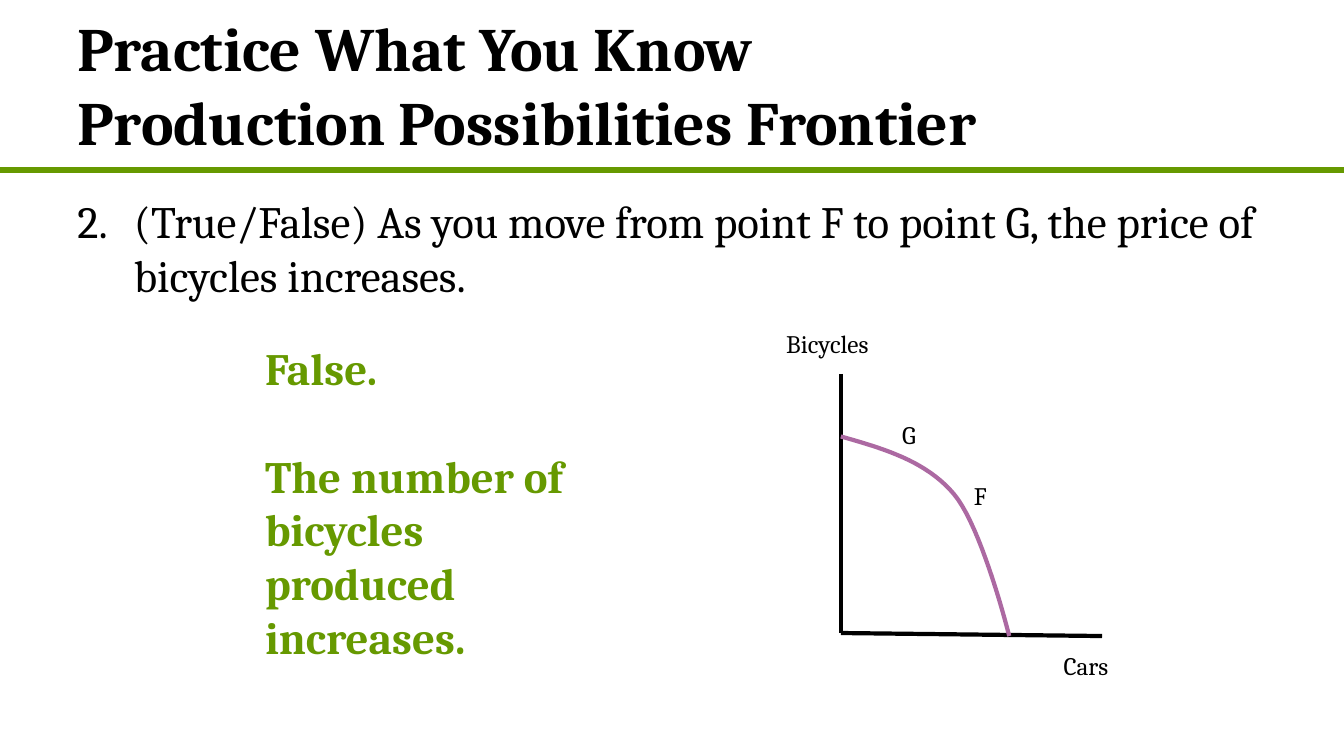
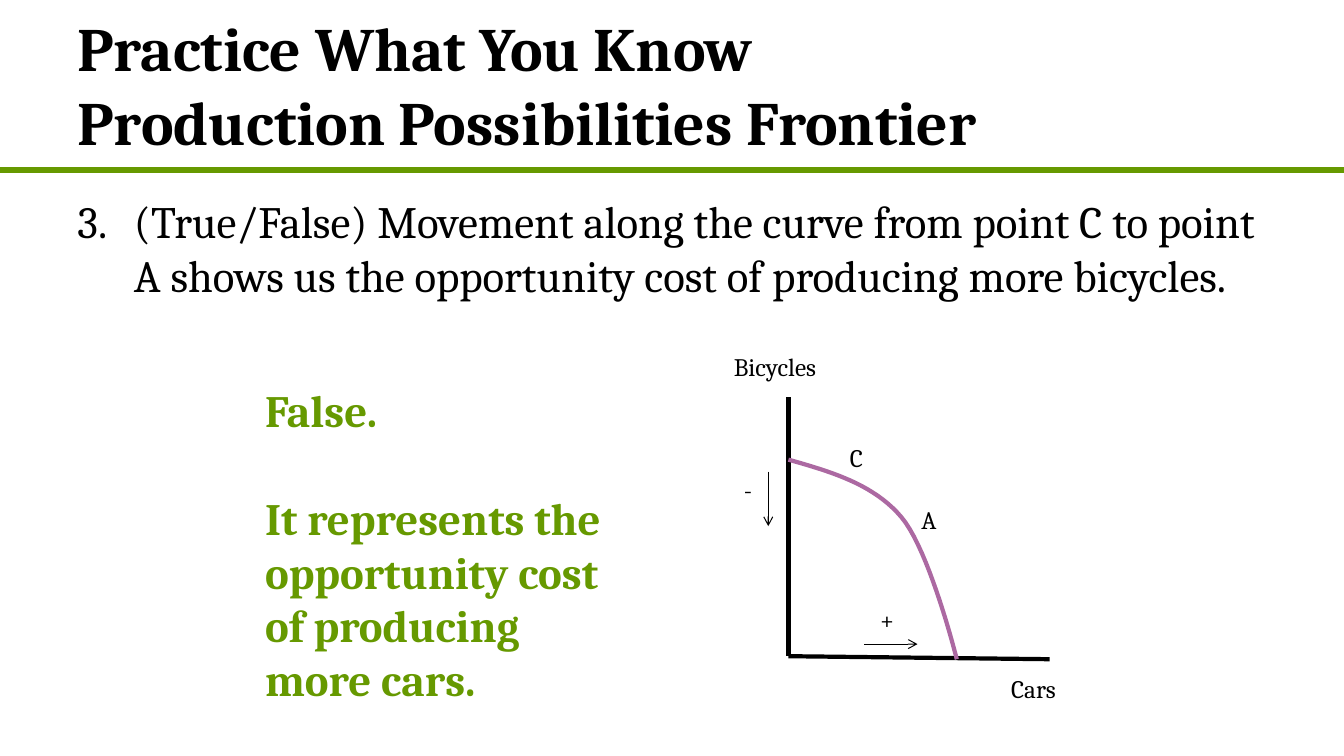
from typing import NamedTuple

from lxml.etree import SubElement
from pptx import Presentation
from pptx.dml.color import RGBColor
from pptx.enum.shapes import MSO_CONNECTOR as Conn
from pptx.enum.text import MSO_ANCHOR as Anchor, MSO_AUTO_SIZE as AutoSize
from pptx.oxml.ns import qn
from pptx.util import Inches, Pt

FONT = "Cambria"
COLORS = {"text": "000000", "accent": "669900", "curve": "AC69A2"}
TITLE = "Practice What You Know\vProduction Possibilities Frontier"
SLIDE_W, SLIDE_H = 13.33, 7.5
INDENT = 0.56

# Graph geometry, measured from the top of the vertical axis
AXIS_BOTTOM = 2.57
AXIS_END = (2.59, 2.6)
FRONTIER = [
    ((0, 0.62), (0.42, 0.74), (0.84, 0.86), (1.12, 1.19)),
    ((1.12, 1.19), (1.4, 1.52), (1.67, 2.6), (1.67, 2.6)),
]
CURVE_STEPS = 20


class Label(NamedTuple):
    text: str
    x: float
    y: float
    w: float


class Arrow(NamedTuple):
    x1: float
    y1: float
    x2: float
    y2: float


class Question(NamedTuple):
    number: int
    text: str
    answer: list[str]
    answer_y: float
    graph_x: float
    graph_y: float
    points: tuple[str, str]  # upper point, lower point
    labels: list[Label] = []
    arrows: list[Arrow] = []


QUESTIONS = [
    Question(
        2,
        "(True/False) As you move from point F to point G, "
        "the price of bicycles increases.",
        ["False.", "The number of bicycles produced increases."],
        3.33, 8.34, 3.71, ("G", "F"),
    ),
    Question(
        3,
        "(True/False) Movement along the curve from point C to point A "
        "shows us the opportunity cost of producing more bicycles.",
        ["False.", "It represents the opportunity cost of producing more cars."],
        3.75, 7.82, 3.94, ("C", "A"),
        [Label("+", 0.81, 2.01, 0.42), Label("-", -0.54, 0.72, 0.32)],
        [Arrow(0.75, 2.45, 1.28, 2.45), Arrow(-0.2, 0.74, -0.2, 1.28)],
    ),
]


def color(name: str) -> RGBColor:
    return RGBColor.from_string(COLORS[name])


def add_text(s, x: float, y: float, w: float, h: float, lines: list[str],
             size: float, fill: str = "text", bold: bool = False,
             grow: bool = False, gap: float = 0):
    tf = s.shapes.add_textbox(Inches(x), Inches(y), Inches(w), Inches(h)).text_frame
    tf.word_wrap = True
    tf.auto_size = AutoSize.SHAPE_TO_FIT_TEXT if grow else AutoSize.NONE
    tf.text = "\n".join(lines)
    for i, p in enumerate(tf.paragraphs):
        if i and gap:
            p.space_before = Pt(gap)
        for r in p.runs:
            r.font.name, r.font.size, r.font.bold = FONT, Pt(size), bold
            r.font.color.rgb = color(fill)
    return tf


def add_line(s, x1: float, y1: float, x2: float, y2: float, width: float,
             fill: str = "text", arrow: bool = False) -> None:
    ln = s.shapes.add_connector(
        Conn.STRAIGHT, Inches(x1), Inches(y1), Inches(x2), Inches(y2))
    ln.line.width = Pt(width)
    ln.line.color.rgb = color(fill)
    if arrow:
        SubElement(ln.line._get_or_add_ln(), qn("a:tailEnd"), type="arrow")
    SubElement(ln._element.spPr, qn("a:effectLst"))


def bezier(points: tuple, t: float) -> tuple[float, float]:
    weights = ((1 - t) ** 3, 3 * t * (1 - t) ** 2, 3 * t * t * (1 - t), t ** 3)
    x, y = (sum(w * pt[i] for w, pt in zip(weights, points)) for i in (0, 1))
    return x, y


def add_frontier(s, x: float, y: float) -> None:
    start, *rest = [
        (Inches(x + px), Inches(y + py))
        for px, py in [FRONTIER[0][0]] + [
            bezier(seg, i / CURVE_STEPS)
            for seg in FRONTIER for i in range(1, CURVE_STEPS + 1)]
    ]
    fb = s.shapes.build_freeform(*start)
    fb.add_line_segments(rest, close=False)
    sp = fb.convert_to_shape()
    sp.shadow.inherit = False
    sp.fill.background()
    sp.line.width = Pt(3)
    sp.line.color.rgb = color("curve")


def add_graph(s, q: Question) -> None:
    x, y = q.graph_x, q.graph_y
    # Axes and curve
    add_line(s, x, y, x, y + AXIS_BOTTOM, 3)
    add_line(s, x + AXIS_END[0], y + AXIS_END[1], x, y + AXIS_BOTTOM, 3)
    add_frontier(s, x, y)
    # Axis names, curve points and change signs
    upper, lower = q.points
    labels = [Label("Bicycles", -0.64, -0.5, 1.4), Label("Cars", 2.11, 2.69, 0.82),
              Label(lower, 1.22, 1.01, 0.5), Label(upper, 0.51, 0.4, 0.51)]
    for lb in labels + q.labels:
        add_text(s, x + lb.x, y + lb.y, lb.w, 0.4, [lb.text], 18, grow=True)
    for a in q.arrows:
        add_line(s, x + a.x1, y + a.y1, x + a.x2, y + a.y2, 0.75, arrow=True)


def add_header(s) -> None:
    add_line(s, 0, 1.69, SLIDE_W, 1.69, 4.5, "accent")
    tf = add_text(s, 0.67, 0, 12, 1.67, [""], 44)
    tf.vertical_anchor = Anchor.MIDDLE
    p = tf.paragraphs[0]
    p.text = TITLE
    for r in p.runs:
        r.font.name, r.font.size, r.font.bold = FONT, Pt(44), True
        r.font.color.rgb = color("text")


def add_question(s, q: Question) -> None:
    tf = add_text(s, 0.67, 1.87, 12, 5.35, [q.text], 32)
    pPr = tf.paragraphs[0]._p.get_or_add_pPr()
    pPr.set("marL", str(Inches(INDENT)))
    pPr.set("indent", str(-Inches(INDENT)))
    SubElement(pPr, qn("a:buFont"), typeface="+mj-lt")
    SubElement(pPr, qn("a:buAutoNum"), type="arabicPeriod", startAt=str(q.number))


def main() -> None:
    prs = Presentation()
    prs.slide_width, prs.slide_height = Inches(SLIDE_W), Inches(SLIDE_H)
    for q in QUESTIONS:
        s = prs.slides.add_slide(prs.slide_layouts[6])
        add_header(s)
        add_question(s, q)
        add_text(s, 2.53, q.answer_y, 3.72, 3.33, q.answer, 32, "accent",
                 bold=True, grow=True, gap=38.5)
        add_graph(s, q)
    prs.save("out.pptx")


if __name__ == "__main__":
    main()
